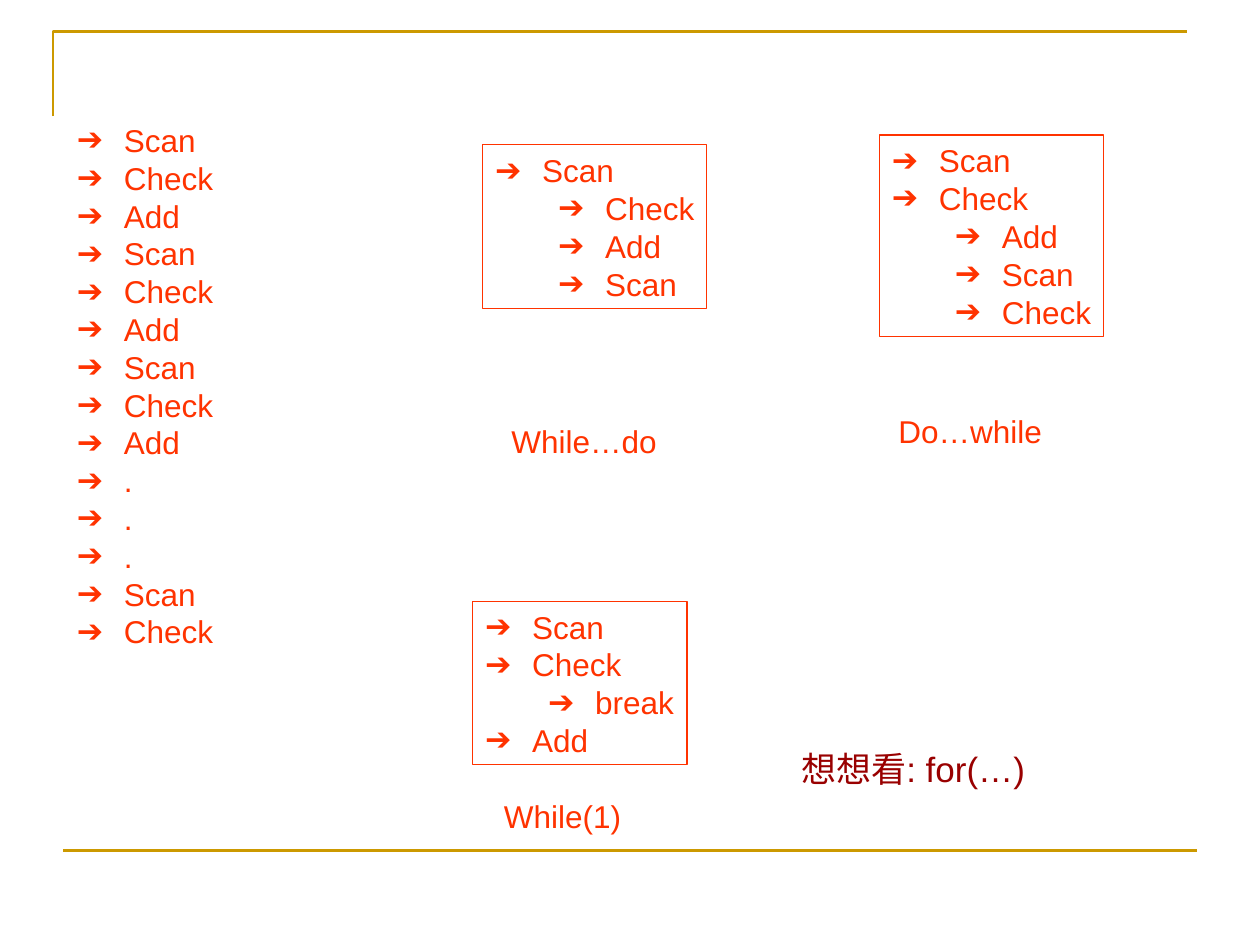
from lxml import etree
from pptx import Presentation
from pptx import util as u
from pptx.dml.color import RGBColor
from pptx.enum import shapes, text
from pptx.oxml import ns

ORANGE = RGBColor(0xFF, 0x33, 0x00)
GOLD = RGBColor(0xCC, 0x99, 0x00)
MAROON = RGBColor(0x99, 0x00, 0x00)

# Steps are (text, level); positions and widths are in cm.
ROUND = ["Scan", "Check", "Add"]
UNROLLED = [(step, 0) for step in ROUND * 3 + ["."] * 3 + ROUND[:2]]
STEP_LISTS = [
    {"left": 1.3, "top": 2.31, "width": 3.25, "steps": UNROLLED, "framed": False},
    {"left": 17.73, "top": 2.72, "width": 4.52, "framed": True,
     "steps": [("Scan", 0), ("Check", 0), ("Add", 1), ("Scan", 1), ("Check", 1)]},
    {"left": 9.73, "top": 2.92, "width": 4.52, "framed": True,
     "steps": [("Scan", 0), ("Check", 1), ("Add", 1), ("Scan", 1)]},
    {"left": 9.53, "top": 12.12, "width": 4.32, "framed": True,
     "steps": [("Scan", 0), ("Check", 0), ("break", 1), ("Add", 0)]},
]
LABELS = [
    ("While…do", 10.06, 8.38, 3.43, 18, ORANGE),
    ("Do…while", 17.86, 8.18, 3.4, 18, ORANGE),
    ("While(1)", 9.91, 15.93, 2.87, 18, ORANGE),
    ("想想看: for(…)", 15.9, 14.94, 7.39, 20, MAROON),
]
CORNER = [(1.07, 2.34), (1.07, 0.64), (23.93, 0.64)]
FOOT_LINE = [(1.27, 17.15), (24.13, 17.15)]

STEP_SIZE = 18
HANGING = 0.95
LEVEL_INDENT = 1.27
FRAME_FORMAT = {
    "margin_left": u.Cm(0.25), "margin_right": u.Cm(0.25),
    "margin_top": u.Cm(0.13), "margin_bottom": u.Cm(0.13),
    "vertical_anchor": text.MSO_ANCHOR.TOP,
    "auto_size": text.MSO_AUTO_SIZE.SHAPE_TO_FIT_TEXT,
    "word_wrap": False,
}


def set_all(target, values):
    for name, value in values.items():
        setattr(target, name, value)


def box_height(lines, size):
    return u.Cm(round(lines * size * 0.0423 + 0.25, 2))


def draw_line(line, color, width):
    line.color.rgb = color
    line.width = u.Pt(width)


def add_bullet(paragraph, level):
    paragraph.level = level
    properties = paragraph._p.get_or_add_pPr()
    properties.set("marL", str(u.Cm(HANGING + level * LEVEL_INDENT)))
    properties.set("indent", str(-u.Cm(HANGING)))
    bullet_color = etree.SubElement(properties, ns.qn("a:buClr"))
    etree.SubElement(bullet_color, ns.qn("a:srgbClr"), val=str(ORANGE))
    etree.SubElement(properties, ns.qn("a:buFont"), typeface="Arial")
    etree.SubElement(properties, ns.qn("a:buChar"), char="➔")


def write(paragraph, words, size, color):
    paragraph.alignment = text.PP_ALIGN.LEFT
    run = paragraph.add_run()
    run.text = words
    set_all(run.font, {"name": "Arial", "size": u.Pt(size)})
    run.font.color.rgb = color


def add_step_list(slide, left, top, width, steps, framed):
    place = (u.Cm(left), u.Cm(top), u.Cm(width), box_height(len(steps), STEP_SIZE))
    if framed:
        box = slide.shapes.add_shape(shapes.MSO_SHAPE.RECTANGLE, *place)
        box.shadow.inherit = False
        box.fill.background()
        draw_line(box.line, ORANGE, 0.75)
    else:
        box = slide.shapes.add_textbox(*place)
    frame = box.text_frame
    set_all(frame, FRAME_FORMAT)
    for index, (step, level) in enumerate(steps):
        paragraph = frame.add_paragraph() if index else frame.paragraphs[0]
        add_bullet(paragraph, level)
        write(paragraph, step, STEP_SIZE, ORANGE)


def add_label(slide, words, left, top, width, size, color):
    box = slide.shapes.add_textbox(u.Cm(left), u.Cm(top), u.Cm(width), box_height(1, size))
    set_all(box.text_frame, FRAME_FORMAT)
    box.text_frame.word_wrap = size > STEP_SIZE
    write(box.text_frame.paragraphs[0], words, size, color)


def add_rules(slide):
    """Draw the gold corner at the top and the gold line at the foot."""
    start, *rest = [(u.Cm(x), u.Cm(y)) for x, y in CORNER]
    builder = slide.shapes.build_freeform(*start)
    builder.add_line_segments(rest, close=False)
    corner = builder.convert_to_shape()
    corner.shadow.inherit = False
    corner.fill.background()
    draw_line(corner.line, GOLD, 1.5)

    ends = [u.Cm(value) for point in FOOT_LINE for value in point]
    foot = slide.shapes.add_connector(shapes.MSO_CONNECTOR.STRAIGHT, *ends)
    draw_line(foot.line, GOLD, 1.5)
    etree.SubElement(foot._element.spPr, ns.qn("a:effectLst"))


def main():
    deck = Presentation()
    set_all(deck, {"slide_width": u.Cm(25.4), "slide_height": u.Cm(19.05)})
    slide = deck.slides.add_slide(deck.slide_layouts[6])
    add_rules(slide)
    for step_list in STEP_LISTS:
        add_step_list(slide, **step_list)
    for label in LABELS:
        add_label(slide, *label)
    deck.save("out.pptx")


if __name__ == "__main__":
    main()
